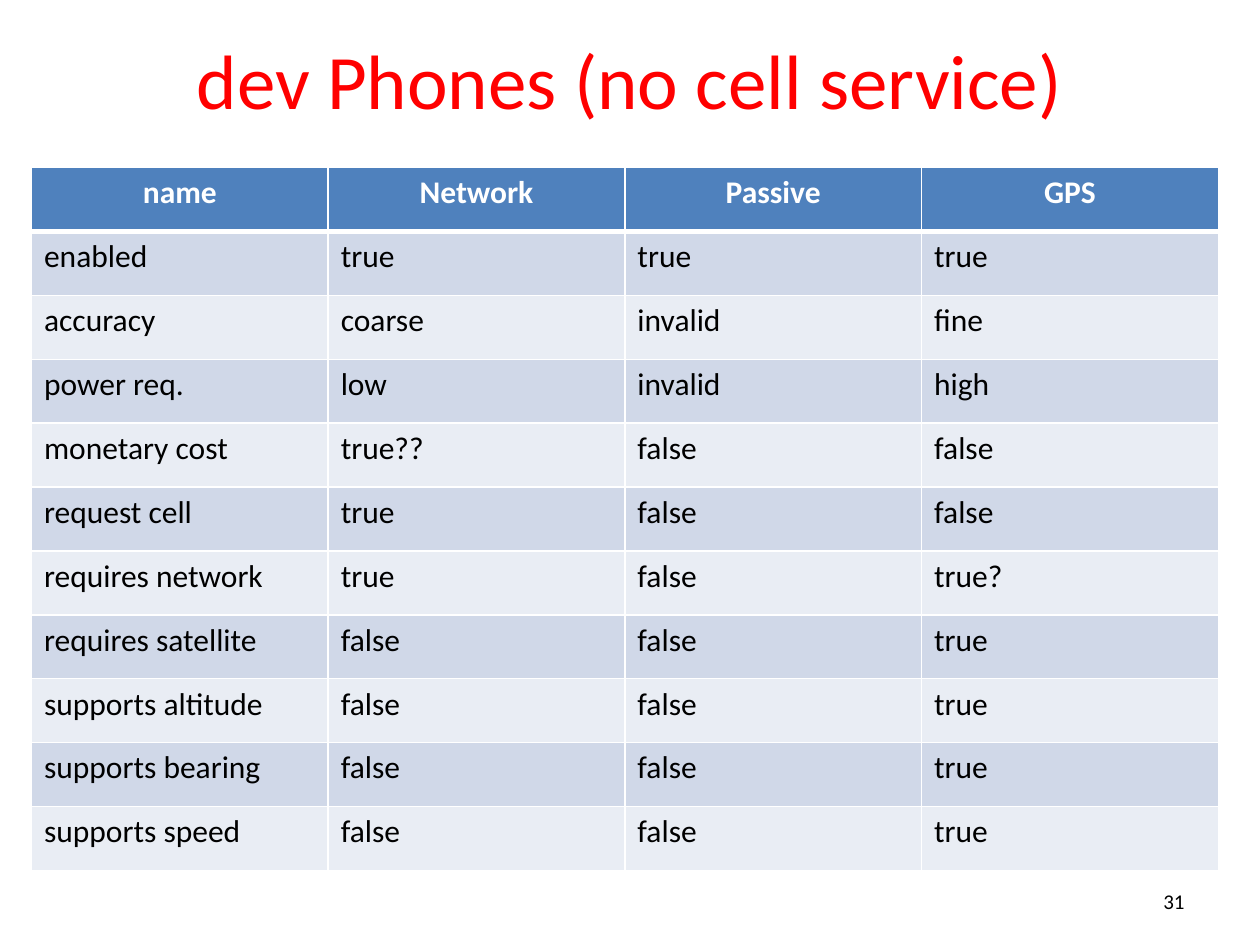
from lxml import etree
from pptx import Presentation
from pptx import util as u
from pptx.dml.color import RGBColor
from pptx.enum import text
from pptx.oxml.ns import qn

RED = RGBColor(0xFF, 0x00, 0x00)
BLACK = RGBColor(0x00, 0x00, 0x00)
WHITE = RGBColor(0xFF, 0xFF, 0xFF)
HEADER_BLUE = RGBColor(0x4F, 0x81, 0xBD)
BANDS = (RGBColor(0xD0, 0xD8, 0xE8), RGBColor(0xE9, 0xED, 0xF4))

PROVIDERS = [
    ("name", "Network", "Passive", "GPS"),
    ("enabled", "true", "true", "true"),
    ("accuracy", "coarse", "invalid", "fine"),
    ("power req.", "low", "invalid", "high"),
    ("monetary cost", "true??", "false", "false"),
    ("request cell", "true", "false", "false"),
    ("requires network", "true", "false", "true?"),
    ("requires satellite", "false", "false", "true"),
    ("supports altitude", "false", "false", "true"),
    ("supports bearing", "false", "false", "true"),
    ("supports speed", "false", "false", "true"),
]


class Deck:
    """Holds the style and the current slide; boxes are shares of the slide size."""

    font = "Calibri"

    def __init__(self, width, height):
        self.prs = Presentation()
        self.prs.slide_width = u.Inches(width)
        self.prs.slide_height = u.Inches(height)
        self.slide = self.prs.slides.add_slide(self.prs.slide_layouts[5])

    def box(self, left, top, width, height):
        w, h = self.prs.slide_width, self.prs.slide_height
        return [round(v) for v in (left * w, top * h, width * w, height * h)]

    def set_text(self, tf, words, size, color, align, bold=False):
        p = tf.paragraphs[0]
        p.text = words
        p.alignment = align
        p.font.name = self.font
        p.font.size = u.Pt(size)
        p.font.bold = bold
        p.font.color.rgb = color

    def title(self, words, *shares):
        sp = self.slide.shapes.title
        sp.left, sp.top, sp.width, sp.height = self.box(*shares)
        sp.text_frame.vertical_anchor = text.MSO_ANCHOR.MIDDLE
        self.set_text(sp.text_frame, words, 44, RED, text.PP_ALIGN.CENTER)

    def page_number(self, number, *shares):
        tf = self.slide.shapes.add_textbox(*self.box(*shares)).text_frame
        tf.word_wrap = True
        tf.vertical_anchor = text.MSO_ANCHOR.MIDDLE
        self.set_text(tf, str(number), 12, BLACK, text.PP_ALIGN.RIGHT)

    def border(self, cell, bottom):
        """Draw white cell edges, 1 pt except for the given bottom width."""
        tc_pr = cell._tc.get_or_add_tcPr()
        for i, (side, width) in enumerate(
            (("lnL", 1), ("lnR", 1), ("lnT", 1), ("lnB", bottom))
        ):
            ln = etree.Element(qn(f"a:{side}"), w=str(u.Pt(width)))
            fill = etree.SubElement(ln, qn("a:solidFill"))
            etree.SubElement(fill, qn("a:srgbClr"), val=str(WHITE))
            tc_pr.insert(i, ln)

    def table(self, rows, *shares):
        left, top, width, height = self.box(*shares)
        n_rows, n_cols = len(rows), len(rows[0])
        table = self.slide.shapes.add_table(
            n_rows, n_cols, left, top, width, height
        ).table
        for r, values in enumerate(rows):
            header = r == 0
            for c, value in enumerate(values):
                cell = table.cell(r, c)
                cell.fill.solid()
                cell.fill.fore_color.rgb = HEADER_BLUE if header else BANDS[(r - 1) % 2]
                self.border(cell, 3 if header else 1)
                self.set_text(
                    cell.text_frame, value, 18,
                    WHITE if header else BLACK,
                    text.PP_ALIGN.CENTER if header else text.PP_ALIGN.LEFT,
                    bold=header,
                )


def main():
    deck = Deck(10, 7.5)
    deck.title("dev Phones (no cell service)", 0.05, 0, 0.9, 1.25 / 7.5)
    deck.page_number(31, 0.717, 6.95 / 7.5, 0.233, 0.4 / 7.5)
    deck.table(PROVIDERS, 0.025, 1.33 / 7.5, 0.942, 5.58 / 7.5)
    deck.prs.save("out.pptx")


if __name__ == "__main__":
    main()
